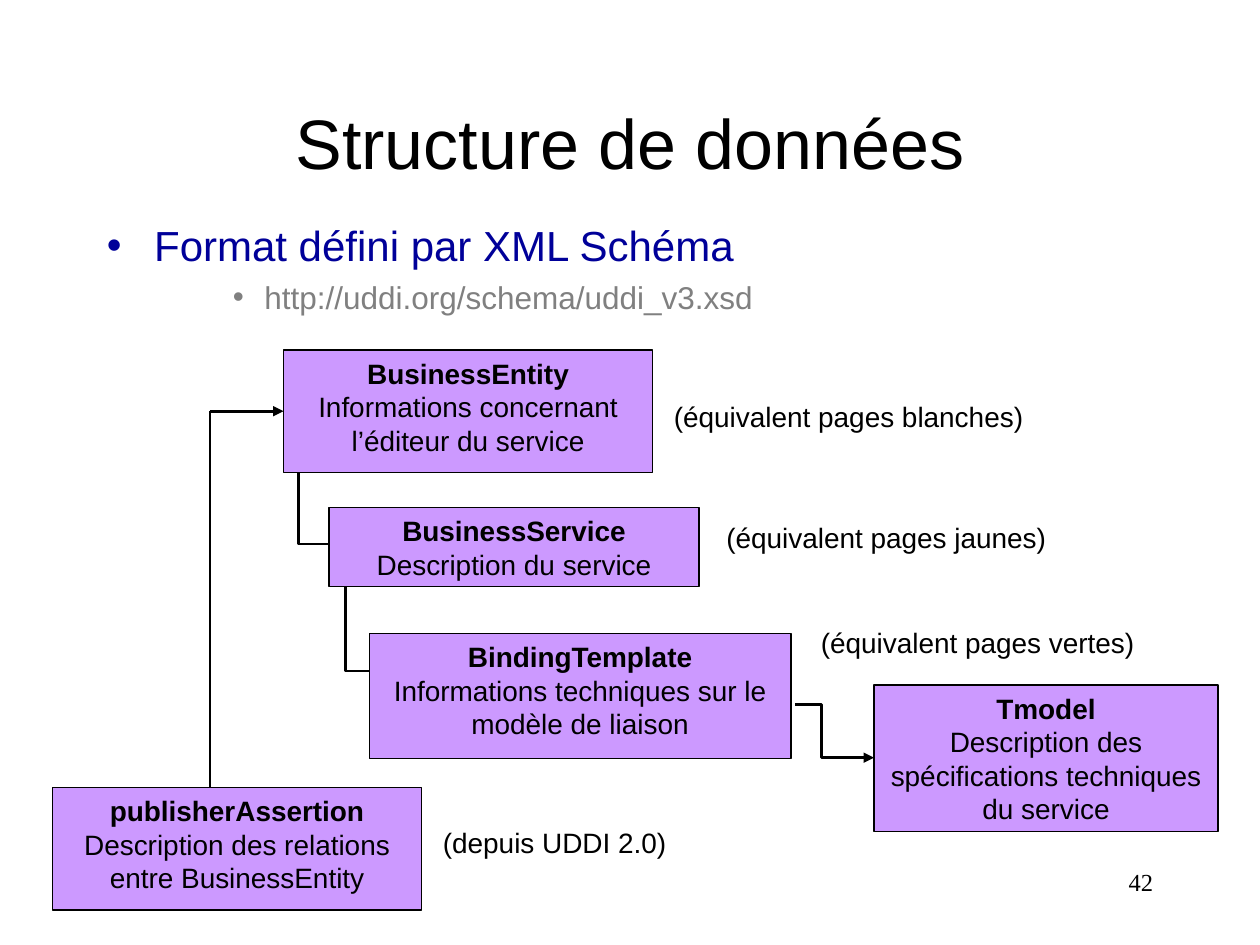
import pptx
import pptx.util
import pptx.dml.color
import pptx.enum.shapes
import pptx.enum.text
from lxml import etree
from pptx.oxml.ns import qn

Pt = pptx.util.Pt
ALIGN = pptx.enum.text.PP_ALIGN
ANCHOR = pptx.enum.text.MSO_ANCHOR
COLORS = {"black": "000000", "box": "CC99FF", "blue": "000099", "grey": "808080"}


def rgb(name):
    return pptx.dml.color.RGBColor.from_string(COLORS[name])


def style(p, size, color="black", font="Arial", bold=False, align=ALIGN.LEFT):
    p.alignment = align
    for r in p.runs:
        r.font.size = Pt(size)
        r.font.name = font
        r.font.bold = bold
        r.font.color.rgb = rgb(color)


def add_text(s, box, text, size, wrap=True, anchor=ANCHOR.TOP, **look):
    sp = s.shapes.add_textbox(*map(Pt, box))
    tf = sp.text_frame
    tf.word_wrap = wrap
    tf.vertical_anchor = anchor
    tf.text = text
    for p in tf.paragraphs:
        style(p, size, **look)
    return sp


def add_bullet(p, margin, indent, color):
    pPr = p._p.get_or_add_pPr()
    pPr.set("marL", str(Pt(margin)))
    pPr.set("indent", str(Pt(-indent)))
    clr = etree.SubElement(pPr, qn("a:buClr"))
    etree.SubElement(clr, qn("a:srgbClr"), val=COLORS[color])
    etree.SubElement(pPr, qn("a:buFont"), typeface="Arial")
    etree.SubElement(pPr, qn("a:buChar"), char="•")


def add_body(s, box):
    sp = s.shapes.add_textbox(*map(Pt, box))
    tf = sp.text_frame
    tf.word_wrap = True
    items = [
        ("Format défini par XML Schéma", 0, 27, 27, 24, "blue", 0),
        ("http://uddi.org/schema/uddi_v3.xsd", 2, 90, 18, 18, "grey", 4.5),
    ]
    for i, (text, level, margin, indent, size, color, before) in enumerate(items):
        p = tf.paragraphs[0] if i == 0 else tf.add_paragraph()
        p.text = text
        p.level = level
        p.space_before = Pt(before)
        add_bullet(p, margin, indent, color)
        style(p, size, color)


def add_entity(s, box, name, description):
    sp = s.shapes.add_shape(pptx.enum.shapes.MSO_SHAPE.RECTANGLE, *map(Pt, box))
    sp.shadow.inherit = False
    sp.fill.solid()
    sp.fill.fore_color.rgb = rgb("box")
    sp.line.color.rgb = rgb("black")
    sp.line.width = Pt(0.75)
    tf = sp.text_frame
    tf.word_wrap = True
    tf.vertical_anchor = ANCHOR.TOP
    tf.text = f"{name}\n{description}"
    for p, bold in zip(tf.paragraphs, (True, False)):
        style(p, 16, bold=bold, align=ALIGN.CENTER)
    return sp


def style_line(sp, arrow):
    sp.line.color.rgb = rgb("black")
    sp.line.width = Pt(1.5)
    if arrow:
        etree.SubElement(sp.line._get_or_add_ln(), qn("a:tailEnd"), type="triangle")


def add_path(s, points, arrow=False):
    start, *rest = [(Pt(x), Pt(y)) for x, y in points]
    fb = s.shapes.build_freeform(*start)
    fb.add_line_segments(rest, close=False)
    sp = fb.convert_to_shape()
    sp.shadow.inherit = False
    sp.fill.background()
    style_line(sp, arrow)


def add_line(s, start, end, arrow=False):
    straight = pptx.enum.shapes.MSO_CONNECTOR.STRAIGHT
    cx = s.shapes.add_connector(straight, *map(Pt, start + end))
    style_line(cx, arrow)
    etree.SubElement(cx._element.spPr, qn("a:effectLst"))
    return cx


def add_diagram(s, box):
    x, y, w, h = box

    def at(left, top, width, height):
        return x + left, y + top, width, height

    entities = [
        (at(132, 0, 211, 70), "BusinessEntity", "Informations concernant l’éditeur du service"),
        (at(158, 90, 211.5, 45), "BusinessService", "Description du service"),
        (at(181, 162, 241, 71.5), "BindingTemplate",
         "Informations techniques sur le modèle de liaison"),
        (at(469.5, 191.5, 196.5, 83.5), "Tmodel",
         "Description des spécifications techniques du service"),
        (at(0, 250, 211, 70), "publisherAssertion",
         "Description des relations entre BusinessEntity"),
    ]
    shapes = [add_entity(s, *entity) for entity in entities]

    for left, top, bottom, right in [(140.5, 70, 111, 158), (167.5, 135, 183.5, 181)]:
        corners = [(left, top), (left, bottom), (right, bottom)]
        add_path(s, [(x + px, y + py) for px, py in corners])
    step = [(424.5, 202.5), (439.5, 202.5), (439.5, 233), (469.5, 233)]
    add_path(s, [(x + px, y + py) for px, py in step], arrow=True)

    corner = (x + 90, y + 35)
    add_line(s, (x + 90, y + 250), corner)
    cx = add_line(s, corner, (x + 132, y + 35), arrow=True)
    cx.end_connect(shapes[0], 1)

    notes = [
        (at(348, 25, 214, 26.5), "(équivalent pages blanches)"),
        (at(378, 94, 197, 26.5), "(équivalent pages jaunes)"),
        (at(432, 154, 194, 26.5), "(équivalent pages vertes)"),
        (at(216, 268, 142, 26.5), "(depuis UDDI 2.0)"),
    ]
    for note_box, text in notes:
        add_text(s, note_box, text, 16, wrap=False)


def main():
    prs = pptx.Presentation()
    prs.slide_width, prs.slide_height = Pt(720), Pt(540)
    s = prs.slides.add_slide(prs.slide_layouts[6])
    add_text(s, (516, 492, 150, 36), "42", 14, font="Times New Roman", align=ALIGN.RIGHT)
    add_text(s, (54, 36, 612, 90), "Structure de données", 40,
             anchor=ANCHOR.MIDDLE, align=ALIGN.CENTER)
    add_body(s, (54, 122, 612, 324))
    add_diagram(s, (30, 200, 666, 320))
    prs.save("out.pptx")


if __name__ == "__main__":
    main()
